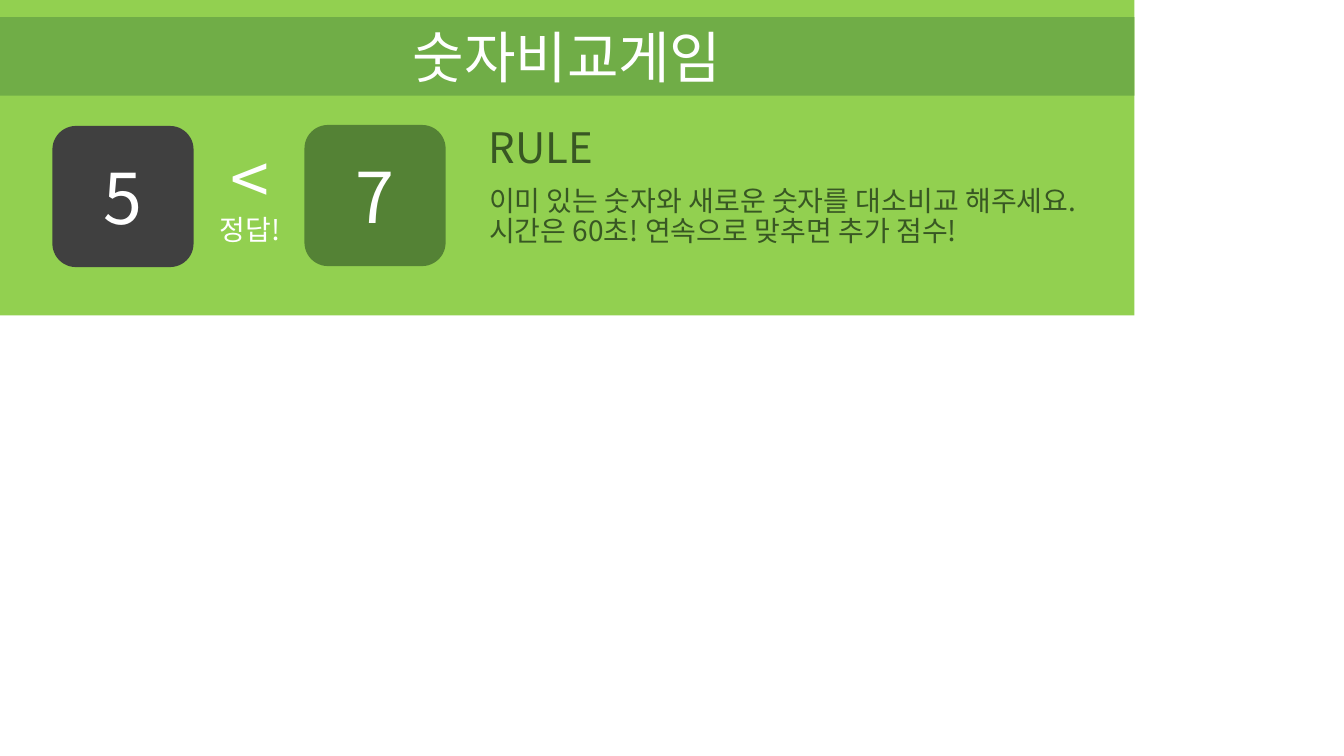
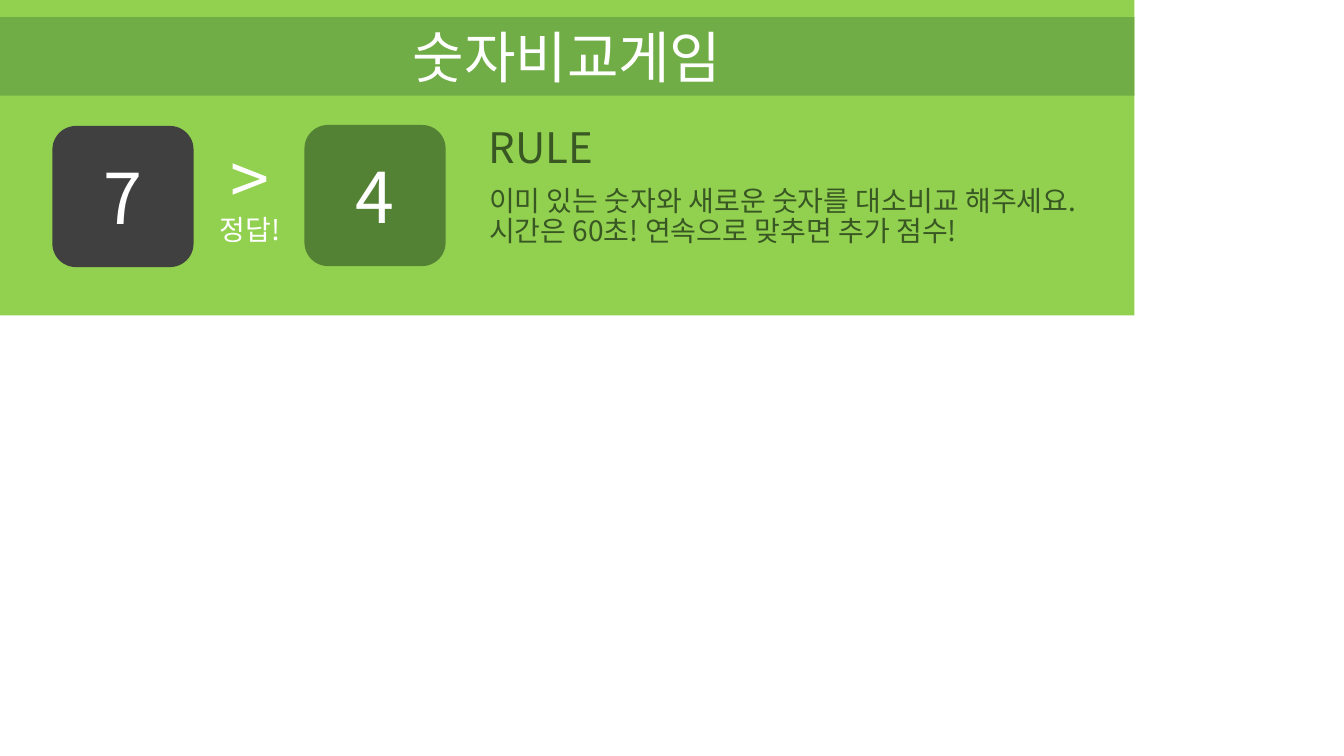
from dataclasses import dataclass
from typing import NamedTuple

from pptx import Presentation
from pptx.dml.color import RGBColor
from pptx.enum import shapes, text
from pptx.oxml.ns import qn
from pptx.util import Inches, Pt


# Theme: colours, type sizes and font
@dataclass(frozen=True)
class Theme:
    font: str = "Noto Sans CJK KR"
    panel: str = "92D050"
    band: str = "70AD47"
    dark_card: str = "404040"
    green_card: str = "548235"
    rule_ink: str = "385723"
    white: str = "FFFFFF"
    number_size: int = 50
    title_size: int = 40
    heading_size: int = 30
    body_size: int = 20


class Box(NamedTuple):
    left: float
    top: float
    width: float
    height: float


class Line(NamedTuple):
    words: str
    size: int
    color: str


class Round(NamedTuple):
    known: str
    sign: str
    new: str


THEME = Theme()
ROUNDS = [Round("5", "<", "7"), Round("7", ">", "4")]

PANEL = Box(0, -0.01, 11.25, 3.14)
BAND = Box(0, 0.17, 11.25, 0.78)
KNOWN_CARD = Box(0.52, 1.25, 1.4, 1.4)
NEW_CARD = Box(3.02, 1.24, 1.4, 1.4)
SIGN = Box(1.93, 1.58, 1.1, 0.79)
HEADING = Box(4.75, 1.22, 1.75, 0.61)
RULES = Box(4.75, 1.82, 6.5, 0.77)

TITLE_LINE = Line("숫자비교게임", THEME.title_size, THEME.white)
HEADING_LINE = Line("RULE", THEME.heading_size, THEME.rule_ink)
ANSWER_LINE = Line("정답!", THEME.body_size, THEME.white)
RULE_LINES = [
    Line(words, THEME.body_size, THEME.rule_ink)
    for words in (
        "이미 있는 숫자와 새로운 숫자를 대소비교 해주세요.",
        "시간은 60초! 연속으로 맞추면 추가 점수!",
    )
]

# Format values for the two kinds of text
CENTERED = {
    "frame": {"vertical_anchor": text.MSO_ANCHOR.MIDDLE},
    "paragraph": {"alignment": text.PP_ALIGN.CENTER, "line_spacing": 1.0},
}
STACKED = {
    "frame": CENTERED["frame"],
    "paragraph": {"alignment": text.PP_ALIGN.CENTER, "line_spacing": 0.8},
}
JUSTIFIED = {
    "frame": {"vertical_anchor": text.MSO_ANCHOR.TOP},
    "paragraph": {"alignment": text.PP_ALIGN.JUSTIFY, "line_spacing": 0.87},
}


def set_values(target, values: dict) -> None:
    for name, value in values.items():
        setattr(target, name, value)


def inches(box: Box) -> list:
    return [Inches(length) for length in box]


def place(shape, box: Box) -> None:
    set_values(shape, dict(zip(Box._fields, inches(box))))


def paint(shape, color: str) -> None:
    shape.fill.solid()
    shape.fill.fore_color.rgb = RGBColor.from_string(color)
    shape.line.fill.background()


def write(shape, lines: list[Line], style: dict) -> None:
    frame = shape.text_frame
    set_values(frame, {"word_wrap": True, "auto_size": text.MSO_AUTO_SIZE.NONE})
    set_values(frame, style["frame"])
    frame.text = "\n".join(line.words for line in lines)
    for paragraph, line in zip(frame.paragraphs, lines):
        set_values(paragraph, {"space_before": Pt(0), **style["paragraph"]})
        run = paragraph.runs[0]
        set_values(run.font, {"size": Pt(line.size), "name": THEME.font})
        run.font.color.rgb = RGBColor.from_string(line.color)
        # Hangul takes its font from the East Asian slot
        east_asian = run.font._element.makeelement(qn("a:ea"), {"typeface": THEME.font})
        run.font._element.find(qn("a:latin")).addnext(east_asian)


def remove_bullets(shape) -> None:
    for paragraph in shape.text_frame.paragraphs:
        properties = paragraph._p.get_or_add_pPr()
        set_indents = {"marL": "0", "indent": "0"}
        for name, value in set_indents.items():
            properties.set(name, value)
        properties.append(properties.makeelement(qn("a:buNone"), {}))


def add_block(slide, kind: shapes.MSO_SHAPE, box: Box, color: str):
    shape = slide.shapes.add_shape(kind, *inches(box))
    shape.shadow.inherit = False
    paint(shape, color)
    return shape


def add_card(slide, box: Box, color: str, number: str) -> None:
    card = add_block(slide, shapes.MSO_SHAPE.ROUNDED_RECTANGLE, box, color)
    write(card, [Line(number, THEME.number_size, THEME.white)], CENTERED)


def add_text(slide, box: Box, lines: list[Line], style: dict) -> None:
    write(slide.shapes.add_textbox(*inches(box)), lines, style)


def build_slide(presentation, game_round: Round) -> None:
    slide = presentation.slides.add_slide(presentation.slide_layouts[1])

    # Panel, sent behind the placeholders
    panel = add_block(slide, shapes.MSO_SHAPE.RECTANGLE, PANEL, THEME.panel)
    slide.shapes.title._element.addprevious(panel._element)

    # Title band
    title = slide.shapes.title
    place(title, BAND)
    paint(title, THEME.band)
    write(title, [TITLE_LINE], CENTERED)

    # Number cards and the sign between them
    add_card(slide, KNOWN_CARD, THEME.dark_card, game_round.known)
    add_card(slide, NEW_CARD, THEME.green_card, game_round.new)
    sign_line = Line(game_round.sign, THEME.number_size, THEME.white)
    add_text(slide, SIGN, [sign_line, ANSWER_LINE], STACKED)

    # Rules
    add_text(slide, HEADING, [HEADING_LINE], JUSTIFIED)
    rules = slide.placeholders[1]
    place(rules, RULES)
    write(rules, RULE_LINES, JUSTIFIED)
    remove_bullets(rules)


def main() -> None:
    presentation = Presentation()
    set_values(presentation, {"slide_width": Inches(13.33), "slide_height": Inches(7.5)})
    for game_round in ROUNDS:
        build_slide(presentation, game_round)
    presentation.save("out.pptx")


main()
